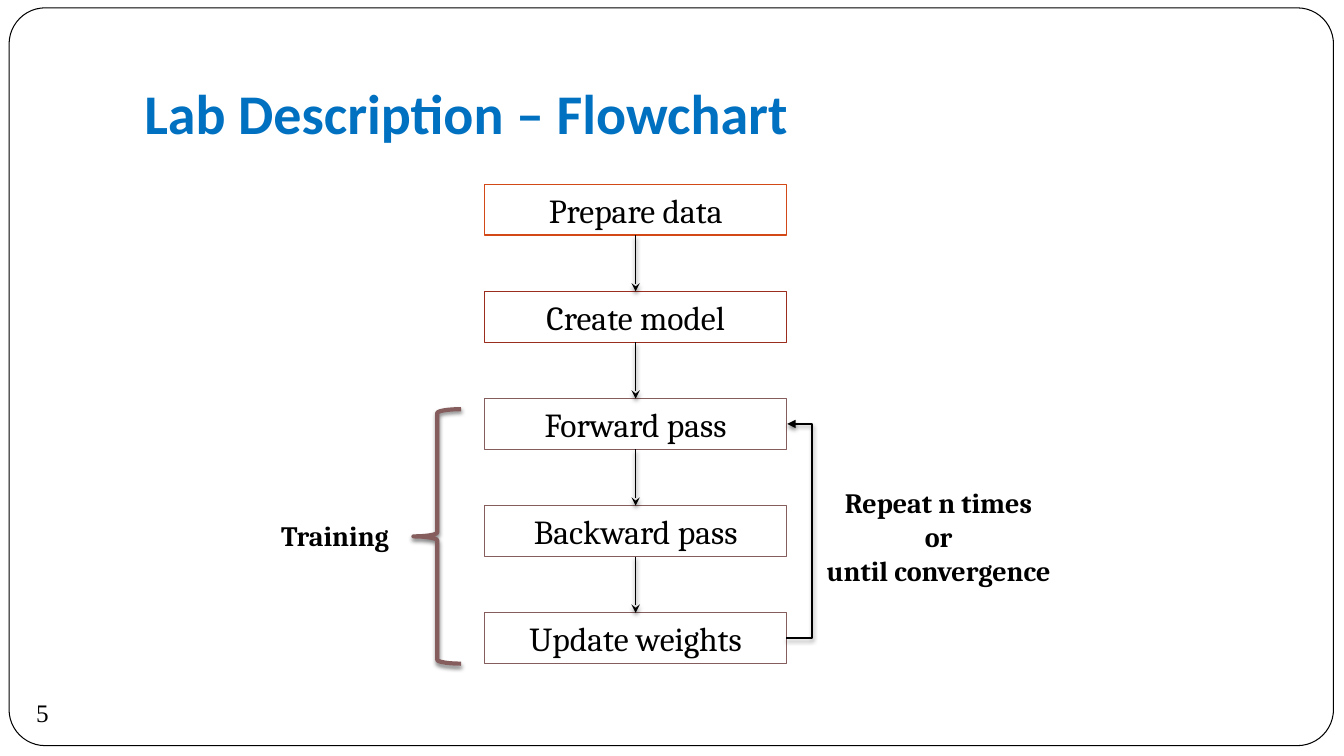
from collections import namedtuple

from lxml import etree
from pptx import Presentation
from pptx.dml.color import RGBColor
from pptx.enum import shapes, text
from pptx.oxml import ns
from pptx.util import Pt

BLACK = RGBColor(0x00, 0x00, 0x00)
WHITE = RGBColor(0xFF, 0xFF, 0xFF)
BLUE = RGBColor(0x00, 0x70, 0xC0)
ORANGE = RGBColor(0xD3, 0x48, 0x17)
RED = RGBColor(0x9B, 0x2D, 0x1F)
MAUVE = RGBColor(0x85, 0x5D, 0x5D)

Box = namedtuple("Box", "left top width height")

STEPS = [
    ("Prepare data", ORANGE),
    ("Create model", RED),
    ("Forward pass", MAUVE),
    ("Backward pass", MAUVE),
    ("Update weights", MAUVE),
]
FIRST_TRAINING_STEP = 2
STEP_HEIGHT = 36.35

TITLE_FORMAT = {"name": "Calibri", "size": Pt(40), "bold": True}
STEP_FORMAT = {"name": "Cambria", "size": Pt(24)}
LABEL_FORMAT = {"name": "Cambria", "size": Pt(20), "bold": True}
NUMBER_FORMAT = {"name": "Times New Roman", "size": Pt(18)}


def lengths(box):
    return [Pt(value) for value in box]


def write(frame, words, font_format, color=BLACK, align=text.PP_ALIGN.LEFT):
    para = frame.paragraphs[0]
    para.text = words
    para.alignment = align
    for span in para.runs:
        for name, value in font_format.items():
            setattr(span.font, name, value)
        span.font.color.rgb = color


def add_label(page, box, words, font_format, color=BLACK,
              align=text.PP_ALIGN.LEFT, frame_format=None):
    frame = page.shapes.add_textbox(*lengths(box)).text_frame
    frame.word_wrap = True
    for name, value in (frame_format or {}).items():
        setattr(frame, name, value)
    write(frame, words, font_format, color, align)


def add_outlined(page, kind, box, color, weight, fill=None):
    shape = page.shapes.add_shape(kind, *lengths(box))
    shape.shadow.inherit = False
    if fill is None:
        shape.fill.background()
    else:
        shape.fill.solid()
        shape.fill.fore_color.rgb = fill
    shape.line.color.rgb = color
    shape.line.width = Pt(weight)
    return shape


def add_soft_shadow(shape):
    properties = shape._element.spPr
    effects = properties.find(ns.qn("a:effectLst"))
    if effects is None:
        effects = etree.SubElement(properties, ns.qn("a:effectLst"))
    shadow = etree.SubElement(
        effects, ns.qn("a:outerShdw"), blurRad=str(Pt(3)), dist=str(Pt(2)),
        dir="5400000", algn="ctr", rotWithShape="0")
    color = etree.SubElement(shadow, ns.qn("a:srgbClr"), val=str(BLACK))
    etree.SubElement(color, ns.qn("a:alpha"), val="50000")


def add_arrow(page, kind, start, end, head):
    arrow = page.shapes.add_connector(kind, *lengths(start + end))
    arrow.line.color.rgb = BLACK
    arrow.line.width = Pt(1)
    etree.SubElement(arrow.line._get_or_add_ln(), ns.qn("a:tailEnd"), type=head)
    add_soft_shadow(arrow)
    return arrow


def draw_frame(page, box):
    border = add_outlined(page, shapes.MSO_SHAPE.ROUNDED_RECTANGLE, box,
                          BLACK, 0.75, WHITE)
    border.adjustments[0] = 0.049
    add_label(page, Box(box.left + 12.3, box.top + 489, 36, 28.8),
              "5", NUMBER_FORMAT)


def draw_title(page, box):
    add_label(page, box, "Lab Description – Flowchart", TITLE_FORMAT, BLUE,
              frame_format={"vertical_anchor": text.MSO_ANCHOR.BOTTOM,
                            "margin_bottom": Pt(7.2)})


def draw_steps(page, box):
    """Stack the steps evenly in the box and return their boxes."""
    pitch = (box.height - STEP_HEIGHT) / (len(STEPS) - 1)
    places = [Box(box.left, box.top + row * pitch, box.width, STEP_HEIGHT)
              for row in range(len(STEPS))]
    for place, (words, color) in zip(places, STEPS):
        step = add_outlined(page, shapes.MSO_SHAPE.RECTANGLE, place,
                            color, 1, WHITE)
        step.text_frame.word_wrap = True
        write(step.text_frame, words, STEP_FORMAT, align=text.PP_ALIGN.CENTER)

    # Arrows from each step to the next
    middle = box.left + box.width / 2
    for upper, lower in zip(places, places[1:]):
        add_arrow(page, shapes.MSO_CONNECTOR.STRAIGHT,
                  (middle, upper.top + STEP_HEIGHT), (middle, lower.top),
                  "stealth")
    return places


def draw_training(page, box):
    """Brace at the left of the training steps, with its label."""
    brace_box = Box(box.left - 51, box.top + 7.6, 34, box.height - 7.6)
    brace = add_outlined(page, shapes.MSO_SHAPE.LEFT_BRACE, brace_box, MAUVE, 3)
    brace.adjustments[0] = 0.083
    add_soft_shadow(brace)
    add_label(page, Box(box.left - 152.6, box.top + 82, 94.3, 31.5),
              "Training", LABEL_FORMAT)


def draw_loop(page, box):
    """Arrow from the last training step back to the first, with its label."""
    right = box.left + box.width
    reach, offset = 18, 0.5
    loop = add_arrow(page, shapes.MSO_CONNECTOR.ELBOW,
                     (right, box.top + box.height - STEP_HEIGHT / 2),
                     (right + offset, box.top + STEP_HEIGHT / 2), "triangle")
    guides = loop._element.spPr.find(ns.qn("a:prstGeom")).get_or_add_avLst()
    etree.SubElement(guides, ns.qn("a:gd"), name="adj1",
                     fmla=f"val {round(reach / offset * 100000)}")
    add_label(page, Box(right + 19, box.top + 58.8, 179.3, 80),
              "Repeat n times\vor\vuntil convergence", LABEL_FORMAT,
              align=text.PP_ALIGN.CENTER)


def draw_flowchart(page, box):
    places = draw_steps(page, box)
    top = places[FIRST_TRAINING_STEP].top
    training = Box(box.left, top, box.width, box.top + box.height - top)
    draw_training(page, training)
    draw_loop(page, training)


def main():
    deck = Presentation()
    deck.slide_width, deck.slide_height = Pt(960), Pt(540)
    page = deck.slides.add_slide(deck.slide_layouts[6])
    draw_frame(page, Box(6.5, 5.6, 946, 527))
    draw_title(page, Box(96, 21.6, 816, 90))
    draw_flowchart(page, Box(346.3, 131.7, 215.5, 342.35))
    deck.save("out.pptx")


if __name__ == "__main__":
    main()
